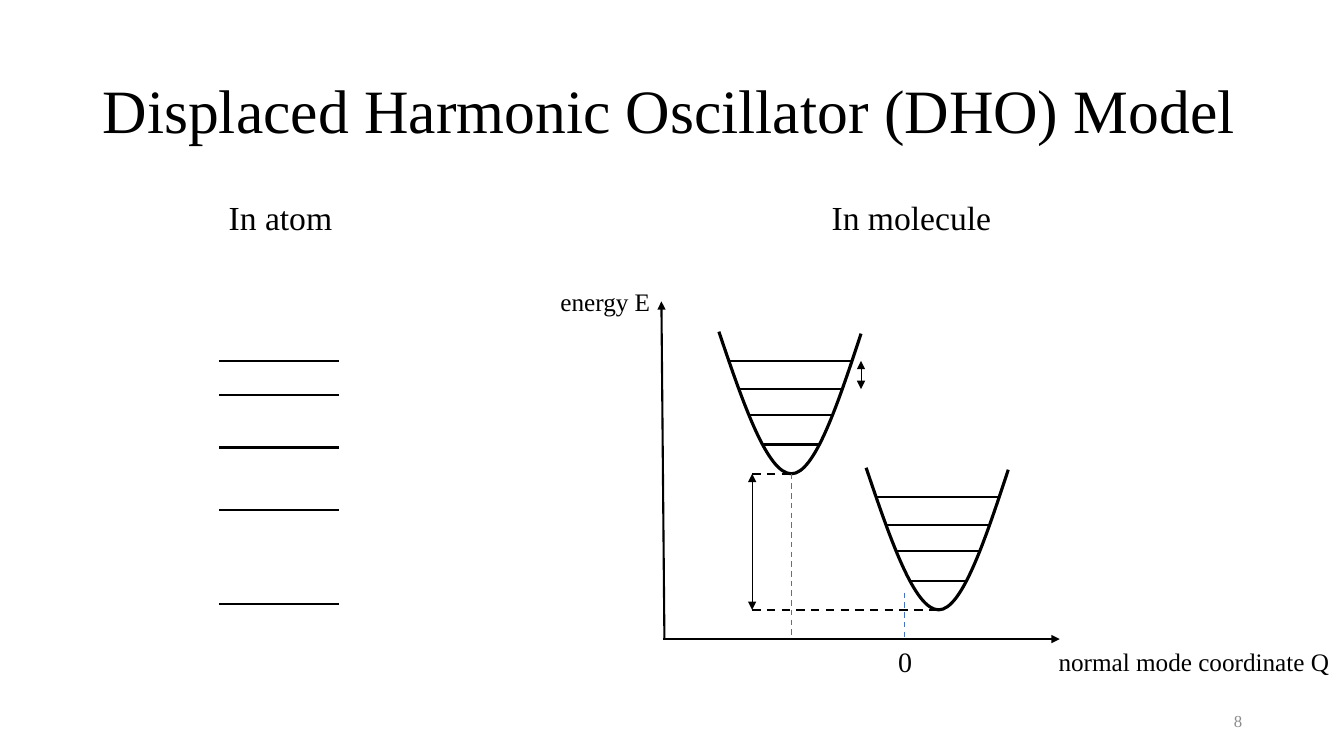
from dataclasses import dataclass

from lxml import etree
from pptx import Presentation
from pptx import util as u
from pptx.dml.color import RGBColor
from pptx.enum import dml, shapes, text
from pptx.oxml.ns import qn

UNIT = u.Inches(0.1)  # one column or row of the layout grid


@dataclass(frozen=True)
class Theme:
    font: str = "Times New Roman"
    ink: str = "000000"
    guide: str = "4472C4"
    muted: str = "8C8C8C"
    title: float = 44
    heading: float = 24
    origin: float = 20
    label: float = 18
    footer: float = 12
    curve: float = 2.25
    line: float = 1.5
    guide_line: float = 1
    measure: float = 0.5


@dataclass(frozen=True)
class Box:
    """An area in grid columns and rows; inner places count from its corner."""
    left: float
    top: float
    width: float = 0
    height: float = 0

    def inner(self, column, row, width=0, height=0):
        return Box(self.left + column, self.top + row, width, height)

    def point(self, column, row):
        return round((self.left + column) * UNIT), round((self.top + row) * UNIT)


THEME = Theme()


def add_text(slide, box, words, size, color=THEME.ink, wrap=False,
             anchor=text.MSO_ANCHOR.TOP, align=text.PP_ALIGN.LEFT):
    shape = slide.shapes.add_textbox(
        *box.point(0, 0), round(box.width * UNIT), round(box.height * UNIT))
    frame = shape.text_frame
    frame.text = words
    frame.word_wrap = wrap
    frame.auto_size = (text.MSO_AUTO_SIZE.NONE if wrap
                       else text.MSO_AUTO_SIZE.SHAPE_TO_FIT_TEXT)
    frame.vertical_anchor = anchor
    paragraph = frame.paragraphs[0]
    paragraph.alignment = align
    font = paragraph.runs[0].font
    font.name, font.size = THEME.font, u.Pt(size)
    font.color.rgb = RGBColor.from_string(color)
    return paragraph


def add_line(parent, box, start, end, width=THEME.line, color=THEME.ink,
             dashed=False, arrows=()):
    connector = parent.shapes.add_connector(
        shapes.MSO_CONNECTOR.STRAIGHT, *box.point(*start), *box.point(*end))
    line = connector.line
    line.width = u.Pt(width)
    line.color.rgb = RGBColor.from_string(color)
    if dashed:
        line.dash_style = dml.MSO_LINE.DASH
    properties = connector._element.spPr
    for arrow in arrows:
        etree.SubElement(properties.find(qn("a:ln")), qn(f"a:{arrow}"), type="triangle")
    etree.SubElement(properties, qn("a:effectLst"))


def add_curve(parent, box, points):
    """Draw cubic curves through a start point and triples of control points."""
    start, *controls = [box.point(*point) for point in points]
    builder = parent.shapes.build_freeform(*start)
    builder.add_line_segments(controls, close=False)
    shape = builder.convert_to_shape()
    shape.shadow.inherit = False
    shape.fill.background()
    shape.line.width = u.Pt(THEME.curve)
    shape.line.color.rgb = RGBColor.from_string(THEME.ink)
    segments = list(shape._element.iter(qn("a:lnTo")))
    outline = segments[0].getparent()
    for first in range(0, len(segments), 3):
        cubic = etree.SubElement(outline, qn("a:cubicBezTo"))
        for segment in segments[first:first + 3]:
            cubic.append(segment[0])
            outline.remove(segment)


def add_title(slide, box):
    paragraph = add_text(slide, box, "Displaced Harmonic Oscillator (DHO) Model",
                         THEME.title, wrap=True, anchor=text.MSO_ANCHOR.MIDDLE)
    paragraph.line_spacing = 0.9


def add_atom(slide, box):
    add_text(slide, box.inner(0, 0, 12.4, 5), "In atom", THEME.heading)
    # Energy levels, drawn closer together towards the top
    for row in (40.9, 31.6, 25.4, 20.2, 16.8):
        add_line(slide, box, (0, row), (box.width, row))


def add_well(slide, box):
    group = slide.shapes.add_group_shape()
    add_curve(group, box, [(0, 0), (2.4, 7.1), (4.8, 14.1), (7.2, 14.1),
                           (9.5, 14.1), (11.8, 7.2), (14.1, 0.2)])
    # Vibrational levels between the walls
    for left, right, row in ((4.3, 9.9, 11.2), (3, 11.2, 8.3),
                             (2, 12.2, 5.7), (1.05, 13.2, 2.9)):
        add_line(group, box, (left, row), (right, row))


def add_molecule(slide, box):
    # Displaced potential wells
    for column, row in ((5.7, 3), (20.3, 16.5)):
        add_well(slide, box.inner(column, row))

    # Axes
    base = box.height
    add_line(slide, box, (0.2, base), (box.width, base), arrows=["tailEnd"])
    add_line(slide, box, (0.3, base), (0, 0), arrows=["tailEnd"])

    # Energy spacings
    both = ["headEnd", "tailEnd"]
    upper, lower = 17.1, 30.6
    add_line(slide, box, (19.8, 5.9), (19.8, 8.7), THEME.measure, arrows=both)
    add_line(slide, box, (9, upper), (9, lower), THEME.measure, arrows=both)
    add_line(slide, box, (9, lower), (27.3, lower), dashed=True)
    add_line(slide, box, (9, upper), (12.9, upper), dashed=True)

    # Coordinate guides
    for column, top, bottom in ((24.1, 28.9, base), (12.9, upper, 33.1)):
        add_line(slide, box, (column, top), (column, bottom),
                 THEME.guide_line, THEME.guide, dashed=True)

    # Labels
    for words, size, place in (
        ("In molecule", THEME.heading, (15.9, -10.9, 18, 5)),
        ("energy E", THEME.label, (-11, -2, 11, 4)),
        ("0", THEME.origin, (22.5, base, 3.4, 4.4)),
        ("normal mode coordinate Q", THEME.label, (38.4, base + 0.2, 29.2, 4)),
    ):
        add_text(slide, box.inner(*place), words, size)


def add_page_number(slide, box):
    add_text(slide, box, "8", THEME.footer, THEME.muted, wrap=True,
             anchor=text.MSO_ANCHOR.MIDDLE, align=text.PP_ALIGN.RIGHT)


def main():
    presentation = Presentation()
    presentation.slide_width = u.Inches(13.33)
    presentation.slide_height = u.Inches(7.5)
    slide = presentation.slides.add_slide(presentation.slide_layouts[6])
    add_title(slide, Box(9.2, 4, 115, 14.5))
    add_atom(slide, Box(21.7, 19, 11.9, 40.9))
    add_molecule(slide, Box(65.6, 29.9, 39.5, 33.5))
    add_page_number(slide, Box(94.2, 69.5, 30, 4))
    presentation.save("out.pptx")


if __name__ == "__main__":
    main()
